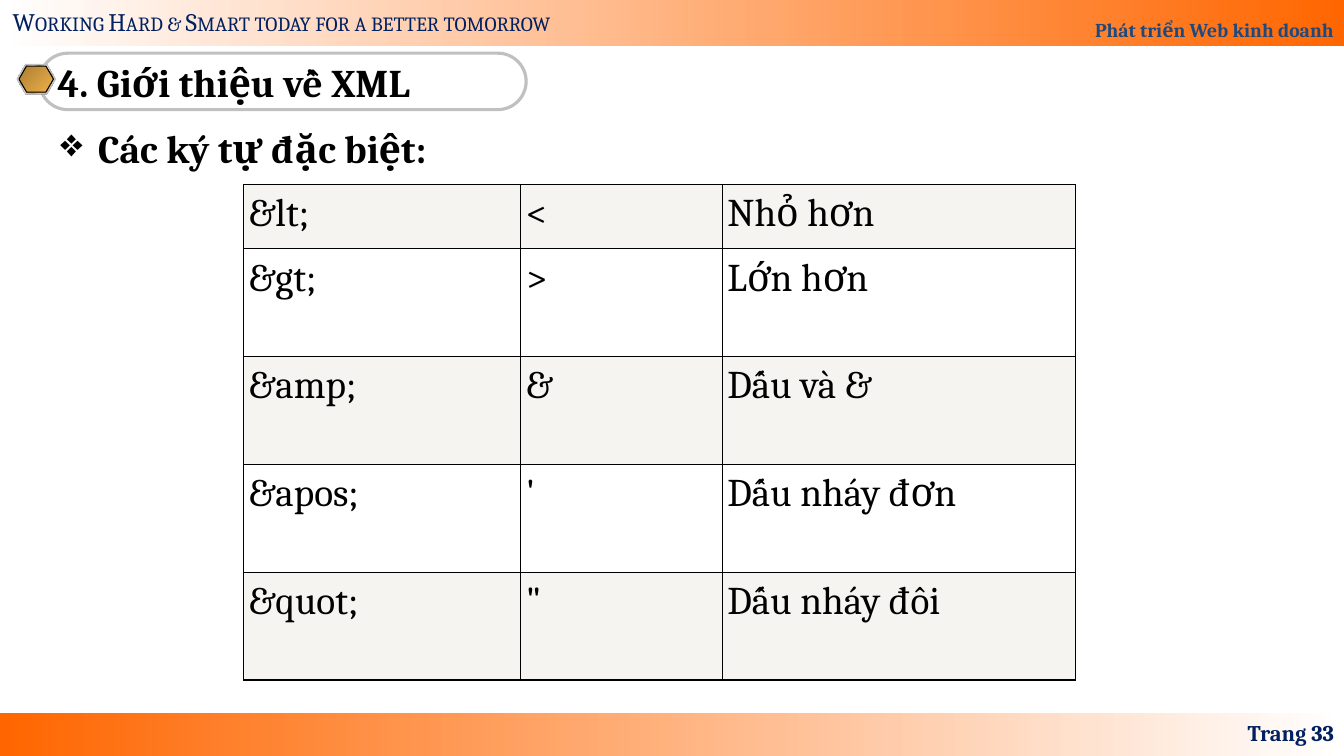
from lxml.etree import SubElement, fromstring
from pptx import Presentation
from pptx.dml.color import RGBColor
from pptx.enum.shapes import MSO_SHAPE
from pptx.enum.text import MSO_ANCHOR, PP_ALIGN
from pptx.oxml.ns import nsdecls, qn
from pptx.util import Pt

FONT = "Cambria"
NAVY, BLACK, ORANGE, WHITE, SILVER = "002060", "000000", "FF6600", "FFFFFF", "C0C0C0"
GOLD_STOPS = [(0, "AB7E34"), (100, "EFB049")]
METAL_STOPS = [(0, "E6E6E6"), (7, "7D8496"), (26, "E6E6E6"), (34, "7D8496"),
               (46, "E6E6E6"), (50, "FFFFFF"), (54, "E6E6E6"), (66, "7D8496"),
               (74, "E6E6E6"), (93, "7D8496"), (100, "E6E6E6")]
ENTITIES = [
    ("&lt;", "<", "Nhỏ hơn"),
    ("&gt;", ">", "Lớn hơn"),
    ("&amp;", "&", "Dấu và\u00a0&"),
    ("&apos;", "'", "Dấu nháy đơn"),
    ("&quot;", '"', "Dấu nháy đôi"),
]


def color(value):
    return RGBColor.from_string(value)


def set_gradient(shape, stops, angle):
    shape.fill.gradient()
    gradient = shape.fill._xPr.find(qn("a:gradFill"))
    stop_list = gradient.find(qn("a:gsLst"))
    for stop in list(stop_list):
        stop_list.remove(stop)
    for position, value in stops:
        stop = SubElement(stop_list, qn("a:gs"), pos=str(position * 1000))
        SubElement(stop, qn("a:srgbClr"), val=value)
    gradient.find(qn("a:lin")).set("ang", str(angle * 60000))


def add_shape(slide, kind, box, fill=None, line=None, line_width=0.75, angle=0):
    shape = slide.shapes.add_shape(kind, *(Pt(length) for length in box))
    shape.shadow.inherit = False
    if fill is None:
        shape.fill.background()
    elif isinstance(fill, list):
        set_gradient(shape, fill, angle)
    else:
        shape.fill.solid()
        shape.fill.fore_color.rgb = color(fill)
    if line is None:
        shape.line.fill.background()
    else:
        shape.line.color.rgb = color(line)
        shape.line.width = Pt(line_width)
    return shape


def write_text(frame, text, size, value, bold=False, align=PP_ALIGN.LEFT,
               anchor=MSO_ANCHOR.TOP):
    frame.word_wrap = True
    frame.vertical_anchor = anchor
    paragraph = frame.paragraphs[0]
    paragraph.alignment = align
    run = paragraph.add_run()
    run.text = text
    run.font.name = FONT
    run.font.size = Pt(size)
    run.font.bold = bold
    run.font.color.rgb = color(value)
    return paragraph


def add_text(slide, box, *content, **style):
    text_box = slide.shapes.add_textbox(*(Pt(length) for length in box))
    return write_text(text_box.text_frame, *content, **style)


def add_header(slide, box):
    left, top, width, height = box
    bar = add_shape(slide, MSO_SHAPE.RECTANGLE, box, [(0, WHITE), (100, ORANGE)])
    course = write_text(bar.text_frame, "Phát triển Web kinh doanh", 14, "1F497D",
                        True, PP_ALIGN.RIGHT, MSO_ANCHOR.BOTTOM)
    course.line_spacing = 1.8
    motto = add_text(slide, (left + 2, top + 0.7, 425, 29),
                     "Working Hard & Smart today for a better tomorrow", 18, NAVY)
    motto.runs[0]._r.get_or_add_rPr().set("cap", "small")


def add_footer(slide, box):
    left, top, width, height = box
    add_shape(slide, MSO_SHAPE.RECTANGLE, box, [(0, ORANGE), (100, WHITE)])
    add_text(slide, (left + width - 224, top, 224, 29), "Trang 33", 16, NAVY,
             bold=True, align=PP_ALIGN.RIGHT, anchor=MSO_ANCHOR.MIDDLE)


def add_title(slide, box):
    left, top, width, height = box
    pill = add_shape(slide, MSO_SHAPE.ROUNDED_RECTANGLE,
                     (left + 16, top, width - 16, height), None, SILVER, 2.25)
    pill.adjustments[0] = 0.5
    write_text(pill.text_frame, "4. Giới thiệu về XML", 28, BLACK, True,
               anchor=MSO_ANCHOR.MIDDLE)
    hexagons = [
        ((left, top + 8.6, 27.4, 21), "808080", None),
        ((left, top + 8, 27.4, 21), METAL_STOPS, SILVER),
        ((left + 1.4, top + 9.2, 24.6, 18.6), GOLD_STOPS, BLACK),
    ]
    for place, fill, line in hexagons:
        hexagon = add_shape(slide, MSO_SHAPE.HEXAGON, place, fill, line, angle=45)
        hexagon.adjustments[0] = 0.289


def add_bullet_heading(slide, box):
    paragraph = add_text(slide, box, "Các ký tự đặc biệt:", 28, BLACK, bold=True)
    properties = paragraph._p.get_or_add_pPr()
    properties.set("marL", str(Pt(27)))
    properties.set("indent", str(Pt(-27)))
    SubElement(properties, qn("a:buChar"), char="❖")


def add_cell_borders(cell):
    properties = cell._tc.get_or_add_tcPr()
    for index, side in enumerate("LRTB"):
        properties.insert(index, fromstring(
            f'<a:ln{side} {nsdecls("a")} w="{Pt(1)}"><a:solidFill>'
            f'<a:srgbClr val="{BLACK}"/></a:solidFill></a:ln{side}>'))


def add_entity_table(slide, box):
    left, top, width, height = box
    column_widths = (198, 144, 252)
    first_height = 46
    other_height = (height - first_height) / (len(ENTITIES) - 1)
    table = slide.shapes.add_table(len(ENTITIES), len(column_widths), Pt(left),
                                   Pt(top), Pt(width), Pt(height)).table
    table.first_row = False
    table.horz_banding = False
    for column, column_width in zip(table.columns, column_widths):
        column.width = Pt(column_width)
    for row_index, texts in enumerate(ENTITIES):
        table.rows[row_index].height = Pt(other_height if row_index else first_height)
        for column_index, text in enumerate(texts):
            cell = table.cell(row_index, column_index)
            cell.margin_left = cell.margin_right = Pt(3.6)
            cell.margin_top = cell.margin_bottom = Pt(5)
            cell.fill.solid()
            cell.fill.fore_color.rgb = color(WHITE if row_index % 2 else "F6F4F0")
            add_cell_borders(cell)
            write_text(cell.text_frame, text, 28, BLACK)


def main():
    presentation = Presentation()
    presentation.slide_width = Pt(960)
    presentation.slide_height = Pt(540)
    slide = presentation.slides.add_slide(presentation.slide_layouts[6])
    add_footer(slide, (0, 509, 960, 31))
    add_header(slide, (0, 0, 960, 33))
    add_title(slide, (12.2, 38, 363.6, 40.3))
    add_bullet_heading(slide, (36, 85, 900, 413))
    add_entity_table(slide, (174, 131.8, 594, 354))
    presentation.save("out.pptx")


if __name__ == "__main__":
    main()
